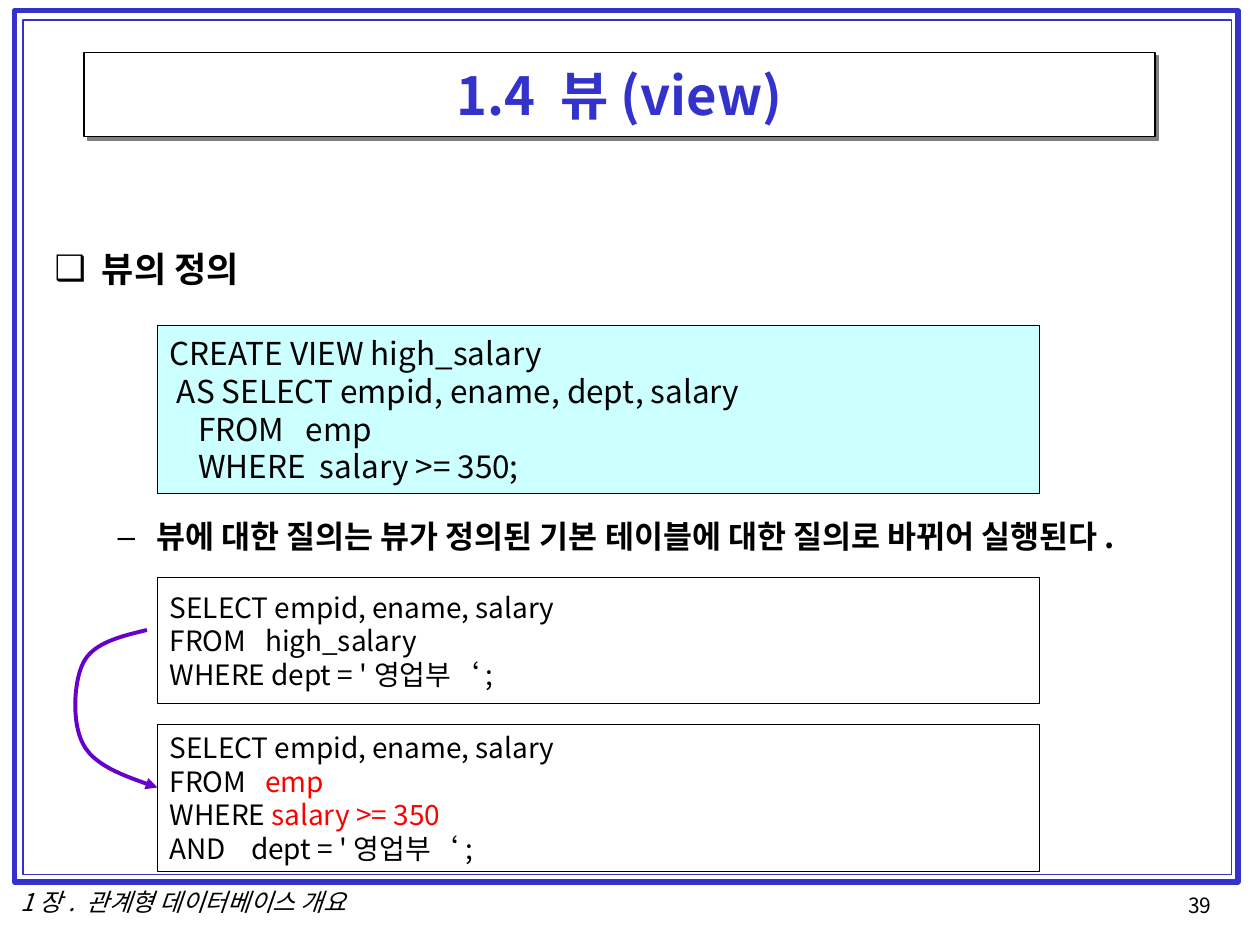
"""Build the slide on database views with its SQL examples."""
from dataclasses import dataclass

import lxml.etree
import pptx
import pptx.dml.color
import pptx.enum.shapes
import pptx.enum.text
import pptx.oxml.ns
import pptx.util

RGBColor = pptx.dml.color.RGBColor
ALIGN = pptx.enum.text.PP_ALIGN
ANCHOR = pptx.enum.text.MSO_ANCHOR
RECTANGLE = pptx.enum.shapes.MSO_SHAPE.RECTANGLE
qn = pptx.oxml.ns.qn

PIXEL = 7620
FONT = "Noto Sans CJK KR"
QUOTE_FONT = "Times New Roman"
LINE_RATIO = 1.2
CURVE_STEPS = 24

BLACK = RGBColor(0x00, 0x00, 0x00)
WHITE = RGBColor(0xFF, 0xFF, 0xFF)
BLUE = RGBColor(0x33, 0x33, 0xCC)
CYAN = RGBColor(0xCC, 0xFF, 0xFF)
RED = RGBColor(0xFF, 0x00, 0x00)
PURPLE = RGBColor(0x66, 0x00, 0xCC)


def px(value: float) -> int:
    """Turn pixels into EMU."""
    return round(value * PIXEL)


@dataclass(frozen=True)
class Box:
    left: int
    top: int
    width: int
    height: int

    def emu(self) -> tuple[int, ...]:
        """Return the box in EMU."""
        return tuple(map(px, (self.left, self.top, self.width, self.height)))


@dataclass(frozen=True)
class Run:
    text: str
    color: RGBColor | None = None
    font: str | None = None


@dataclass(frozen=True)
class CodeBox:
    box: Box
    fill: RGBColor
    size: int
    lines: tuple[tuple[Run, ...], ...]


@dataclass(frozen=True)
class Bullet:
    text: str
    character: str
    level: int
    size: int
    margin: int
    hanging: int
    space_before: int


CLOSING = (Run("‘", font=QUOTE_FONT), Run(";"))
SELECT = (Run("SELECT empid, ename, salary"),)
CODE_BOXES = (
    CodeBox(Box(150, 310, 840, 160), CYAN, 18, (
        (Run("CREATE VIEW high_salary"),),
        (Run(" AS SELECT empid, ename, dept, salary"),),
        (Run("    FROM   emp"),),
        (Run("    WHERE  salary >= 350;"),),
    )),
    CodeBox(Box(150, 550, 840, 120), WHITE, 16, (
        SELECT,
        (Run("FROM   high_salary"),),
        (Run("WHERE dept = '영업부"), *CLOSING),
    )),
    CodeBox(Box(150, 690, 840, 140), WHITE, 16, (
        SELECT,
        (Run("FROM   "), Run("emp", RED)),
        (Run("WHERE "), Run("salary >= 350", RED)),
        (Run("AND    dept = '영업부"), *CLOSING),
    )),
)
BULLETS = (
    Bullet("뷰의 정의", "❑", 0, 20, 45, 45, 0),
    Bullet("뷰에 대한 질의는 뷰가 정의된 기본 테이블에 대한 질의로 바뀌어 실행된다.",
           "–", 1, 18, 97, 37, 130),
)
FRAMES = ((Box(14, 10, 1165, 830), 3), (Box(22, 19, 1151, 814), 1))
CURVE = (
    ((140, 600), (115, 606), (90, 612), (80, 630)),
    ((80, 630), (70, 648), (68, 690), (80, 710)),
    ((80, 710), (91, 730), (121, 740), (150, 750)),
)


def style_paragraph(paragraph, size: int, color: RGBColor = BLACK, bold: bool = False,
                    italic: bool = False, align=ALIGN.LEFT) -> None:
    """Set the font, alignment and line pitch of a paragraph."""
    paragraph.alignment = align
    paragraph.line_spacing = pptx.util.Pt(round(size * LINE_RATIO, 1))
    font = paragraph.font
    font.name, font.size, font.bold, font.italic = FONT, pptx.util.Pt(size), bold, italic
    font.color.rgb = color
    properties = paragraph._p.pPr.find(qn("a:defRPr"))
    lxml.etree.SubElement(properties, qn("a:ea"), typeface=FONT)


def set_line(shape, color: RGBColor, width: float) -> None:
    """Set the outline of a shape."""
    shape.line.color.rgb = color
    shape.line.width = pptx.util.Pt(width)


def place(shape, box: Box) -> None:
    """Move a placeholder to its box."""
    shape.left, shape.top, shape.width, shape.height = box.emu()


def add_frame(slide, box: Box, width: int) -> None:
    """Draw one line of the page frame."""
    shape = slide.shapes.add_shape(RECTANGLE, *box.emu())
    shape.shadow.inherit = False
    shape.fill.background()
    set_line(shape, BLUE, width)


def add_label(slide, box: Box, text: str, size: int, italic: bool, align) -> None:
    """Write a footer text."""
    frame = slide.shapes.add_textbox(*box.emu()).text_frame
    frame.word_wrap = True
    frame.text = text
    style_paragraph(frame.paragraphs[0], size, italic=italic, align=align)


def fill_title(shape) -> None:
    """Format the title as a boxed heading with a hard shadow."""
    place(shape, Box(80, 50, 1020, 80))
    shape.fill.solid()
    shape.fill.fore_color.rgb = WHITE
    set_line(shape, BLACK, 0.75)
    effects = lxml.etree.SubElement(shape._element.spPr, qn("a:effectLst"))
    shadow = lxml.etree.SubElement(effects, qn("a:outerShdw"), dist="35921", dir="2700000",
                                   algn="ctr", rotWithShape="0")
    lxml.etree.SubElement(shadow, qn("a:srgbClr"), val="808080")
    frame = shape.text_frame
    frame.auto_size = pptx.enum.text.MSO_AUTO_SIZE.NONE
    frame.vertical_anchor = ANCHOR.MIDDLE
    frame.text = "1.4 뷰(view)"
    style_paragraph(frame.paragraphs[0], 30, BLUE, bold=True, align=ALIGN.CENTER)


def fill_body(shape) -> None:
    """Write the bulleted statements."""
    place(shape, Box(40, 230, 1120, 580))
    frame = shape.text_frame
    frame.auto_size = pptx.enum.text.MSO_AUTO_SIZE.NONE
    frame.vertical_anchor = ANCHOR.TOP
    for index, bullet in enumerate(BULLETS):
        paragraph = frame.add_paragraph() if index else frame.paragraphs[0]
        paragraph.text = bullet.text
        paragraph.level = bullet.level
        properties = paragraph._p.get_or_add_pPr()
        properties.set("marL", str(px(bullet.margin)))
        properties.set("indent", str(-px(bullet.hanging)))
        lxml.etree.SubElement(properties, qn("a:buChar"), char=bullet.character)
        paragraph.space_before = pptx.util.Pt(bullet.space_before)
        style_paragraph(paragraph, bullet.size, bold=True)


def add_code_box(slide, code: CodeBox) -> None:
    """Draw a box of SQL lines."""
    shape = slide.shapes.add_shape(RECTANGLE, *code.box.emu())
    shape.shadow.inherit = False
    shape.fill.solid()
    shape.fill.fore_color.rgb = code.fill
    set_line(shape, BLACK, 0.75)
    frame = shape.text_frame
    frame.word_wrap = True
    frame.vertical_anchor = ANCHOR.MIDDLE
    for index, line in enumerate(code.lines):
        paragraph = frame.add_paragraph() if index else frame.paragraphs[0]
        style_paragraph(paragraph, code.size)
        for part in line:
            run = paragraph.add_run()
            run.text = part.text
            run.font.color.rgb = part.color or BLACK
            if part.font:
                run.font.name = part.font


def curve_point(curve, t: float) -> tuple[int, ...]:
    """Return the EMU point of a cubic curve at t."""
    weights = ((1 - t) ** 3, 3 * t * (1 - t) ** 2, 3 * t ** 2 * (1 - t), t ** 3)
    return tuple(px(sum(w * v for w, v in zip(weights, axis))) for axis in zip(*curve))


def add_curved_arrow(slide) -> None:
    """Draw the arrow from the view query to the rewritten query."""
    points = [curve_point(curve, step / CURVE_STEPS)
              for curve in CURVE for step in range(1, CURVE_STEPS + 1)]
    builder = slide.shapes.build_freeform(*map(px, CURVE[0][0]))
    builder.add_line_segments(points, close=False)
    shape = builder.convert_to_shape()
    shape.shadow.inherit = False
    shape.fill.background()
    set_line(shape, PURPLE, 2.25)
    lxml.etree.SubElement(shape.line._get_or_add_ln(), qn("a:tailEnd"), type="triangle")


def main() -> None:
    """Build and save the presentation."""
    presentation = pptx.Presentation()
    presentation.slide_width, presentation.slide_height = px(1200), px(900)
    slide = presentation.slides.add_slide(presentation.slide_layouts[1])
    fill_title(slide.shapes.title)
    fill_body(slide.placeholders[1])
    for box, width in FRAMES:
        add_frame(slide, box, width)
    add_label(slide, Box(1120, 844, 53, 36), "39", 12, False, ALIGN.LEFT)
    add_label(slide, Box(0, 839, 349, 40), "1장. 관계형 데이터베이스 개요", 14, True, ALIGN.CENTER)
    for code in CODE_BOXES:
        add_code_box(slide, code)
    add_curved_arrow(slide)
    presentation.save("out.pptx")


if __name__ == "__main__":
    main()
